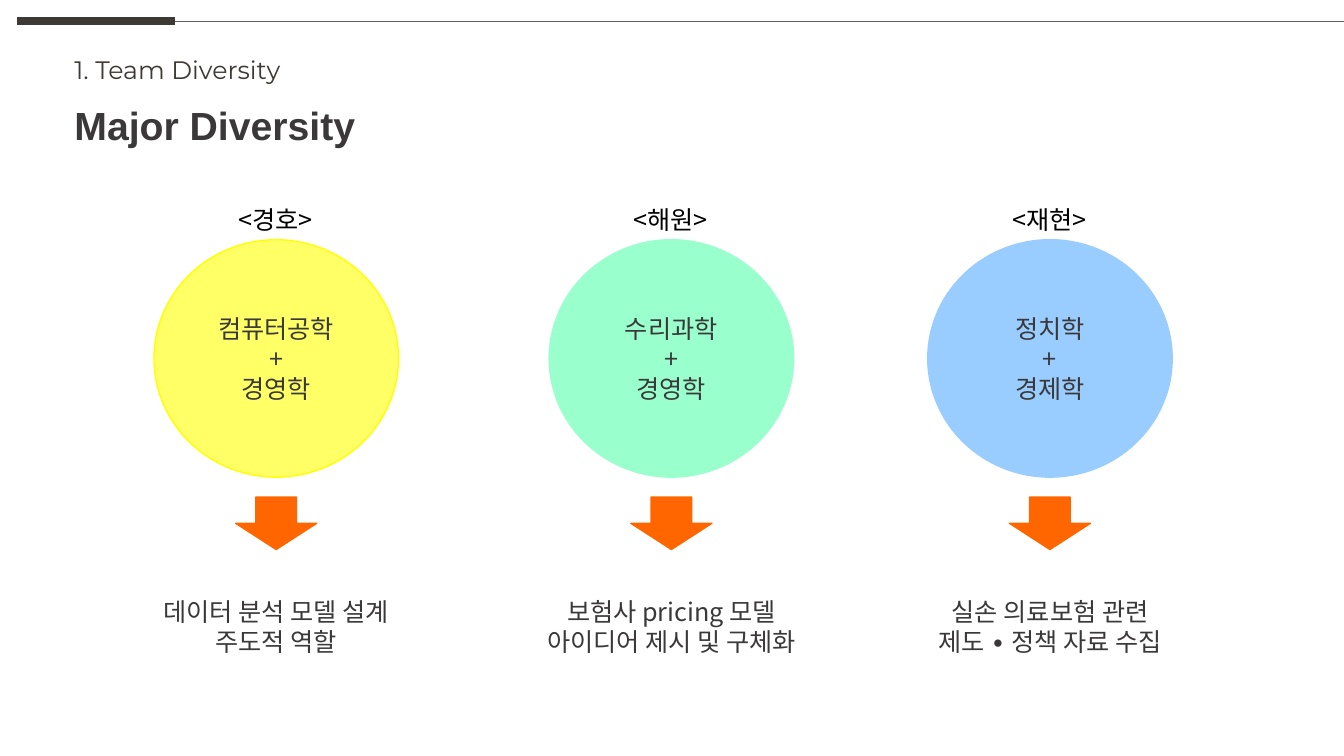
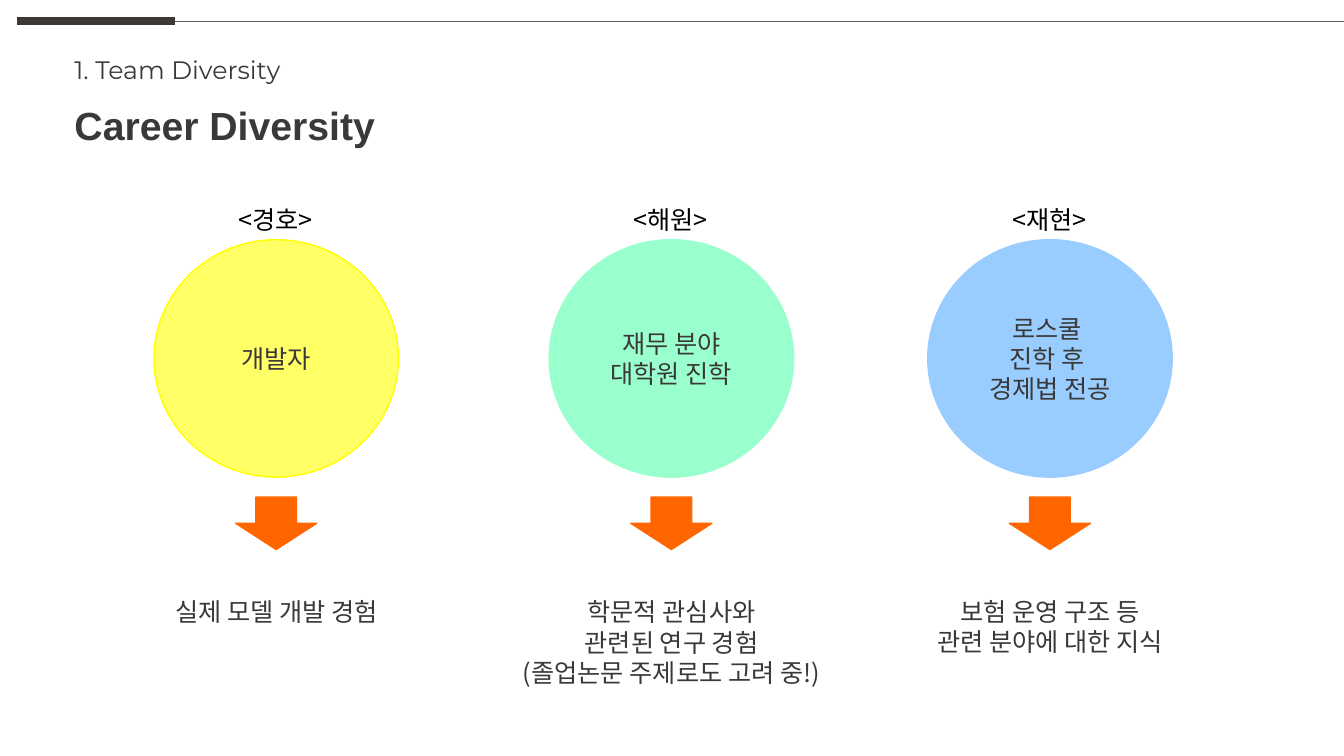
from dataclasses import dataclass

from lxml.etree import SubElement
from pptx import Presentation
from pptx.dml.color import RGBColor
from pptx.enum.shapes import MSO_CONNECTOR, MSO_SHAPE
from pptx.enum.text import MSO_ANCHOR, MSO_AUTO_SIZE as AutoSize, PP_ALIGN
from pptx.oxml.ns import qn
from pptx.util import Pt


@dataclass(frozen=True)
class Theme:
    ink: str = "3A3838"
    accent: str = "3D3A35"
    rule: str = "5F5F5D"
    label: str = "000000"
    arrow: str = "FF6600"
    title_font: str = "Arial"
    section_font: str = "Montserrat"
    body_font: str = "Noto Sans CJK KR"
    title_size: int = 28
    body_size: int = 18


@dataclass(frozen=True)
class Member:
    name: str
    center: float
    fill: str
    line: str


THEME = Theme()
SLIDE_WIDTH, SLIDE_HEIGHT = 960, 540
SECTION = "1. Team Diversity"
MEMBERS = [
    Member("<경호>", 197.3, "FFFF66", "FFFF00"),
    Member("<해원>", 479.6, "99FFCC", "99FFCC"),
    Member("<재현>", 750, "99CCFF", "99CCFF"),
]
# Each title has one (circle lines, result lines) pair per member.
TOPICS = {
    "Major Diversity": [
        (["컴퓨터공학", "+", "경영학"], ["데이터 분석 모델 설계", "주도적 역할"]),
        (["수리과학", "+", "경영학"], ["보험사 pricing 모델", "아이디어 제시 및 구체화"]),
        (["정치학", "+", "경제학"], ["실손 의료보험 관련", "제도 ∙ 정책 자료 수집"]),
    ],
    "Career Diversity": [
        (["개발자"], ["실제 모델 개발 경험"]),
        (["재무 분야", "대학원 진학"],
         ["학문적 관심사와", "관련된 연구 경험", "(졸업논문 주제로도 고려 중!)"]),
        (["로스쿨 ", "진학 후 ", "경제법 전공"], ["보험 운영 구조 등", "관련 분야에 대한 지식"]),
    ],
}


def assign(target, values):
    for attribute, value in values.items():
        setattr(target, attribute, value)


class Deck:
    def __init__(self, theme):
        self.theme = theme
        self.presentation = Presentation()
        assign(self.presentation, {"slide_width": Pt(SLIDE_WIDTH),
                                   "slide_height": Pt(SLIDE_HEIGHT)})
        self.slide = None

    def start_slide(self, title):
        title_only = self.presentation.slide_layouts[5]
        self.slide = self.presentation.slides.add_slide(title_only)
        self.rule(12.2, 125.3, self.theme.accent, 6)
        self.rule(125.3, SLIDE_WIDTH, self.theme.rule, 0.5)
        section = self.slide.shapes.add_textbox(Pt(46), Pt(35.3), Pt(171.4), Pt(29))
        self.set_text(section, [SECTION], font=self.theme.section_font,
                      color=self.theme.accent, align=PP_ALIGN.LEFT, wrap=False)
        heading = self.slide.shapes.title
        assign(heading, {"left": Pt(46), "top": Pt(68.4),
                         "width": Pt(897), "height": Pt(41)})
        self.set_text(heading, [title], font=self.theme.title_font,
                      size=self.theme.title_size, bold=True, align=PP_ALIGN.LEFT)

    def rule(self, start, end, color, weight):
        y = Pt(15.1)
        line = self.slide.shapes.add_connector(
            MSO_CONNECTOR.STRAIGHT, Pt(start), y, Pt(end), y)
        line.line.color.rgb = RGBColor.from_string(color)
        line.line.width = Pt(weight)
        SubElement(line._element.spPr, qn("a:effectLst"))

    def set_text(self, box, lines, font=None, size=None, color=None, bold=False,
                 align=PP_ALIGN.CENTER, anchor=MSO_ANCHOR.TOP, wrap=True,
                 fit=AutoSize.SHAPE_TO_FIT_TEXT):
        frame = box.text_frame
        assign(frame, {"text": "\n".join(lines), "word_wrap": wrap,
                       "auto_size": fit, "vertical_anchor": anchor})
        typeface = font or self.theme.body_font
        font_format = {"name": typeface, "bold": bold,
                       "size": Pt(size or self.theme.body_size)}
        for paragraph in frame.paragraphs:
            paragraph.alignment = align
            for run in paragraph.runs:
                assign(run.font, font_format)
                run.font.color.rgb = RGBColor.from_string(color or self.theme.ink)
                east_asian = SubElement(run._r.get_or_add_rPr(), qn("a:ea"))
                east_asian.set("typeface", typeface)

    def shape(self, group, kind, center, top, width, height, fill, line):
        shape = group.shapes.add_shape(
            kind, Pt(center - width / 2), Pt(top), Pt(width), Pt(height))
        shape.shadow.inherit = False
        shape.fill.solid()
        shape.fill.fore_color.rgb = RGBColor.from_string(fill)
        shape.line.color.rgb = RGBColor.from_string(line)
        shape.line.width = Pt(1)
        return shape

    def centered_text(self, group, lines, center, top, width, height, color=None):
        box = group.shapes.add_textbox(
            Pt(center - width / 2), Pt(top), Pt(width), Pt(height))
        self.set_text(box, lines, color=color)

    def member_column(self, member, circle_lines, result_lines):
        group = self.slide.shapes.add_group_shape()
        circle = self.shape(group, MSO_SHAPE.OVAL, member.center, 171.2, 174.6, 169.6,
                            member.fill, member.line)
        self.set_text(circle, circle_lines, anchor=MSO_ANCHOR.MIDDLE, fit=AutoSize.NONE)
        self.shape(group, MSO_SHAPE.DOWN_ARROW, member.center, 355, 58, 37.5,
                   self.theme.arrow, self.theme.arrow)
        self.centered_text(group, result_lines, member.center, 422.6, 237,
                           7.2 + 21.8 * len(result_lines))
        self.centered_text(group, [member.name], member.center - 0.5, 142.4, 94.4, 29,
                           self.theme.label)


def main():
    deck = Deck(THEME)
    for title, columns in TOPICS.items():
        deck.start_slide(title)
        for member, (circle_lines, result_lines) in zip(MEMBERS, columns):
            deck.member_column(member, circle_lines, result_lines)
    deck.presentation.save("out.pptx")


if __name__ == "__main__":
    main()
